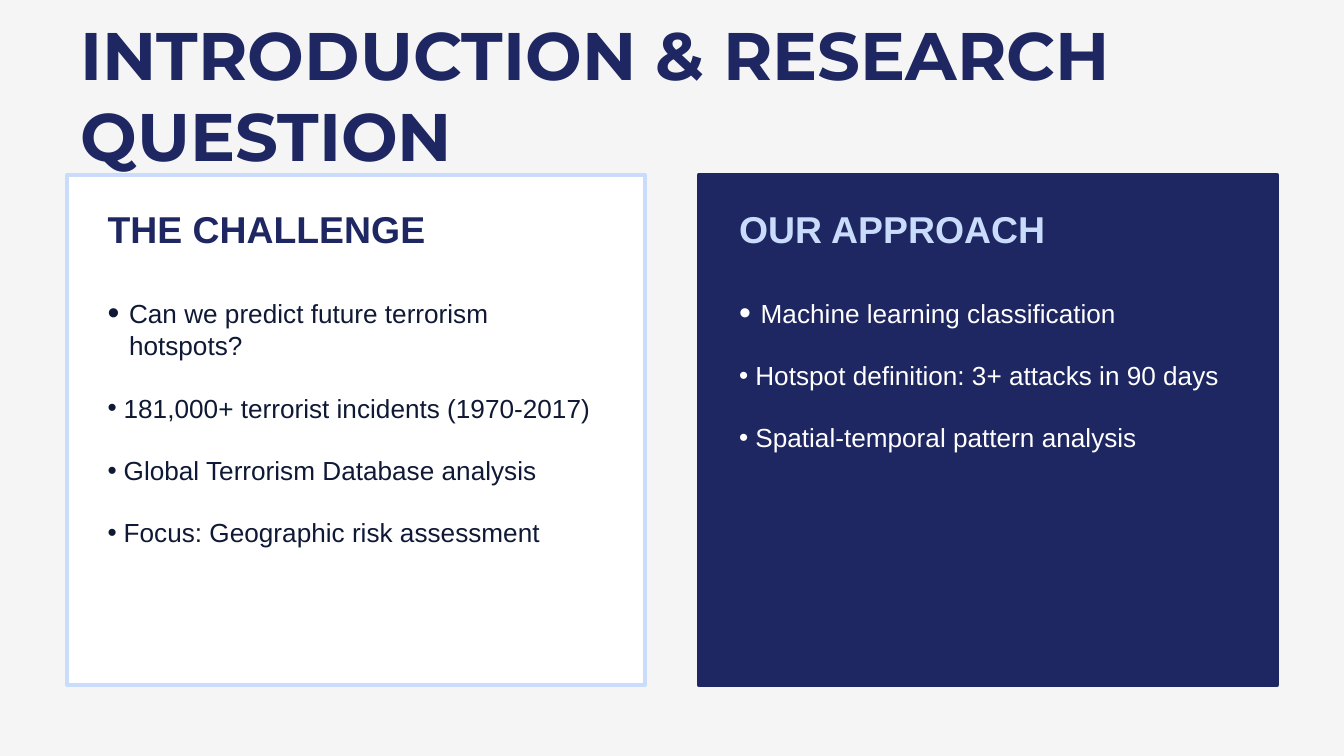
from dataclasses import dataclass

from lxml import etree
from pptx import Presentation
from pptx.dml.color import RGBColor
from pptx.enum.shapes import MSO_SHAPE
from pptx.enum.text import MSO_ANCHOR, MSO_AUTO_SIZE, PP_ALIGN
from pptx.oxml.ns import qn
from pptx.util import Inches, Pt

RECTANGLE = MSO_SHAPE.RECTANGLE
TOP, MIDDLE = MSO_ANCHOR.TOP, MSO_ANCHOR.MIDDLE
LEFT = PP_ALIGN.LEFT
NO_AUTOFIT = MSO_AUTO_SIZE.NONE
COMPARISON_LAYOUT = 4


@dataclass(frozen=True)
class Theme:
    background: str = "F5F5F5"
    navy: str = "1E2761"
    ice: str = "CADCFC"
    white: str = "FFFFFF"
    ink: str = "0F1935"
    title_font: str = "Montserrat"
    text_font: str = "Arial"
    title_size: int = 36
    heading_size: int = 20
    list_size: int = 14
    lead_bullet_size: int = 18
    border: int = 2


class SlideBuilder:
    def __init__(self, slide, theme):
        self.slide = slide
        self.theme = theme
        fill = slide.background.fill
        fill.solid()
        fill.fore_color.rgb = RGBColor.from_string(theme.background)

    def _frame(self, placeholder, box, anchor):
        placeholder.left, placeholder.top, placeholder.width, placeholder.height = map(Inches, box)
        frame = placeholder.text_frame
        frame.auto_size = NO_AUTOFIT
        frame.word_wrap = True
        frame.vertical_anchor = anchor
        return frame

    def _write(self, paragraph, text, font, size, color, bold=False):
        paragraph.alignment = LEFT
        paragraph.space_before = Pt(0)
        run = paragraph.add_run()
        run.text = text
        run.font.name = font
        run.font.size = Pt(size)
        run.font.bold = bold
        run.font.color.rgb = RGBColor.from_string(color)

    def _bullet(self, paragraph, size, indent):
        """Give the paragraph a real bullet with a hanging indent in inches."""
        properties = paragraph._p.get_or_add_pPr()
        properties.set("marL", str(Inches(indent)))
        properties.set("indent", str(-Inches(indent)))
        percent = round(100 * size / self.theme.list_size) * 1000
        etree.SubElement(properties, qn("a:buSzPct"), val=str(percent))
        etree.SubElement(properties, qn("a:buFont"), typeface=self.theme.text_font)
        etree.SubElement(properties, qn("a:buChar"), char="•")

    def title(self, text, box):
        frame = self._frame(self.slide.shapes.title, box, MIDDLE)
        theme = self.theme
        self._write(frame.paragraphs[0], text, theme.title_font, theme.title_size, theme.navy, True)

    def panel(self, box, fill, line):
        """Draw a bordered rectangle behind the placeholders."""
        panel = self.slide.shapes.add_shape(RECTANGLE, *map(Inches, box))
        panel.shadow.inherit = False
        panel.fill.solid()
        panel.fill.fore_color.rgb = RGBColor.from_string(fill)
        panel.line.color.rgb = RGBColor.from_string(line)
        panel.line.width = Pt(self.theme.border)
        self.slide.shapes.title.element.addprevious(panel.element)

    def heading(self, index, text, box, color):
        frame = self._frame(self.slide.placeholders[index], box, MIDDLE)
        theme = self.theme
        self._write(frame.paragraphs[0], text, theme.text_font, theme.heading_size, color, True)

    def bullet_list(self, index, points, box, color):
        """Fill a list whose first bullet is larger than the others."""
        frame = self._frame(self.slide.placeholders[index], box, TOP)
        theme = self.theme
        for number, point in enumerate(points):
            paragraph = frame.add_paragraph() if number else frame.paragraphs[0]
            self._write(paragraph, point, theme.text_font, theme.list_size, color)
            paragraph.line_spacing = 1.04
            paragraph.space_after = Pt(16)
            if number:
                self._bullet(paragraph, theme.list_size, 0.12)
            else:
                self._bullet(paragraph, theme.lead_bullet_size, 0.16)


def main():
    theme = Theme()
    deck = Presentation()
    deck.slide_width = Inches(10)
    deck.slide_height = deck.slide_width * 9 // 16
    slide = deck.slides.add_slide(deck.slide_layouts[COMPARISON_LAYOUT])
    builder = SlideBuilder(slide, theme)
    builder.title("INTRODUCTION & RESEARCH QUESTION", (0.5, 0.4, 9, 0.6))

    challenge = [
        "Can we predict future terrorism hotspots?",
        "181,000+ terrorist incidents (1970-2017)",
        "Global Terrorism Database analysis",
        "Focus: Geographic risk assessment",
    ]
    approach = [
        "Machine learning classification",
        "Hotspot definition: 3+ attacks in 90 days",
        "Spatial-temporal pattern analysis",
    ]
    columns = [
        ("THE CHALLENGE", challenge, theme.white, theme.ice, theme.navy, theme.ink),
        ("OUR APPROACH", approach, theme.navy, theme.navy, theme.ice, theme.white),
    ]
    margin, panel_width, gap, padding = 0.5, 4.3, 0.4, 0.2
    text_width = panel_width - 2 * padding
    for column, (heading, points, fill, line, heading_color, list_color) in enumerate(columns):
        left = margin + column * (panel_width + gap)
        text_left = left + padding
        heading_index = 1 + 2 * column
        builder.panel((left, 1.3, panel_width, 3.8), fill, line)
        builder.heading(heading_index, heading, (text_left, 1.5, text_width, 0.4), heading_color)
        builder.bullet_list(heading_index + 1, points, (text_left, 2.15, text_width, 2.65), list_color)

    deck.save("out.pptx")


if __name__ == "__main__":
    main()
